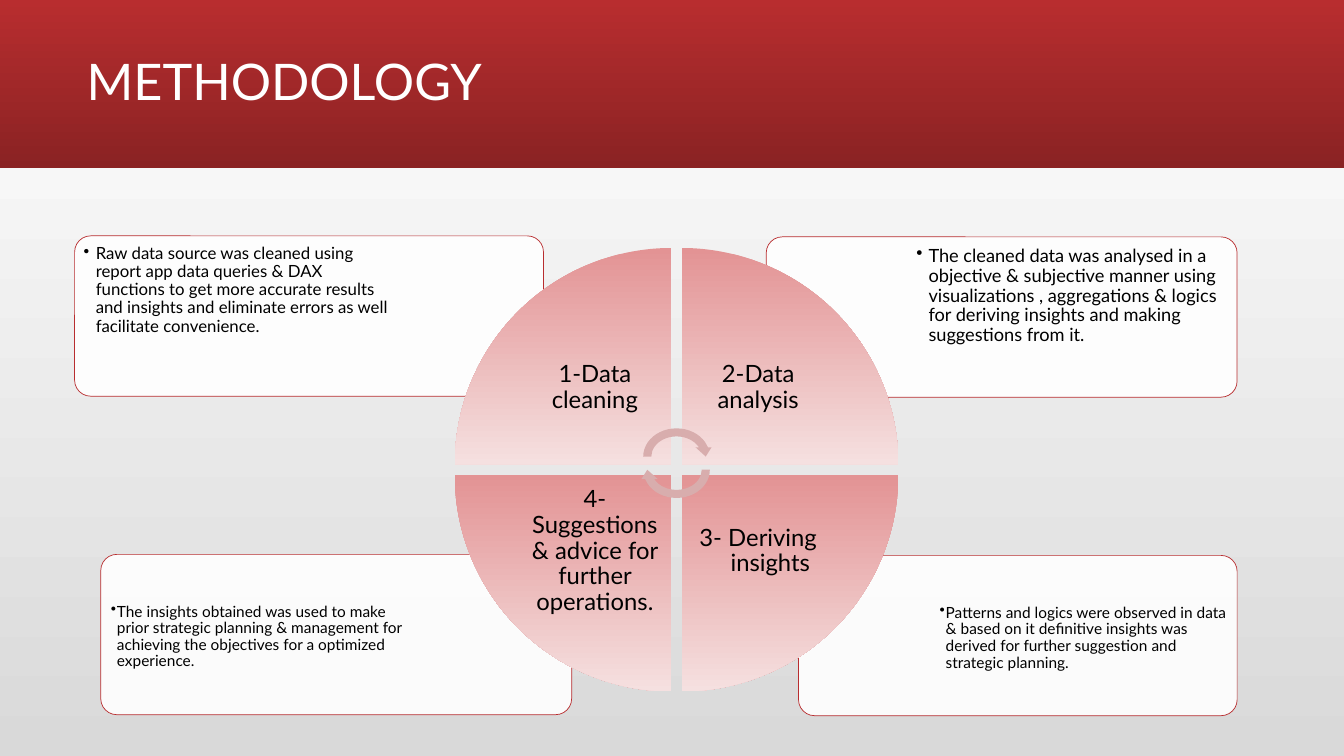
import pptx
import pptx.dml.color
import pptx.enum.shapes
import pptx.enum.text
import pptx.oxml.ns
import pptx.util

Inches = pptx.util.Inches
Pt = pptx.util.Pt
qn = pptx.oxml.ns.qn
SHAPES = pptx.enum.shapes.MSO_SHAPE
ALIGN = pptx.enum.text.PP_ALIGN
ANCHOR = pptx.enum.text.MSO_ANCHOR
FONT = "Lato"
RED, WHITE, BLACK = "B82D2F", "FFFFFF", "000000"


def paint(target, *colours, angle=270):
    """Fill with one colour, or with a gradient of two."""
    if len(colours) == 1:
        target.solid()
        target.fore_color.rgb = pptx.dml.color.RGBColor.from_string(colours[0])
        return
    target.gradient()
    target.gradient_angle = angle
    for stop, colour in zip(target.gradient_stops, colours):
        stop.color.rgb = pptx.dml.color.RGBColor.from_string(colour)


def write(shape, text, size, colour, alignment, anchor, inset):
    """Put one formatted paragraph into a shape and return the paragraph."""
    frame = shape.text_frame
    frame.text = text
    frame.word_wrap = True
    frame.auto_size = pptx.enum.text.MSO_AUTO_SIZE.NONE
    frame.vertical_anchor = anchor
    frame.margin_left = frame.margin_right = Inches(inset)
    frame.margin_top = frame.margin_bottom = Inches(inset)
    paragraph = frame.paragraphs[0]
    paragraph.alignment = alignment
    paragraph.line_spacing = 0.9
    font = paragraph.runs[0].font
    font.name, font.size = FONT, Pt(size)
    paint(font.fill, colour)
    return paragraph


presentation = pptx.Presentation()
presentation.slide_width = Inches(13.33)
presentation.slide_height = Inches(7.5)
slide = presentation.slides.add_slide(presentation.slide_layouts[5])
shapes = slide.shapes
paint(slide.background.fill, "D9D9D9", WHITE, angle=90)

# Banner, placed behind the title
banner = shapes.add_shape(SHAPES.RECTANGLE, 0, 0, presentation.slide_width, Inches(1.67))
banner.shadow.inherit = False
banner.line.fill.background()
paint(banner.fill, RED, "8A2223")
title = shapes.title
title._element.addprevious(banner._element)
title.left, title.top = Inches(0.76), Inches(0.11)
title.width, title.height = Inches(11), Inches(1.45)
write(title, "METHODOLOGY", 36, WHITE, ALIGN.LEFT, ANCHOR.MIDDLE, 0.1)

# Cards: left, top, width, text left, text offset, text width, size, hanging indent, text
CARD_HEIGHT = 1.59
cards = [
    (7.92, 5.51, 4.35, 9.26, 0.43, 2.98, 11, 0.06,
     "Patterns and logics were observed in data & based on it definitive insights "
     "was derived for further suggestion and strategic planning."),
    (1, 5.5, 4.67, 1.04, 0.43, 3.2, 11, 0.06,
     "The insights obtained was used to make prior strategic planning & management "
     "for achieving the objectives for a optimized experience."),
    (7.6, 2.35, 4.67, 9.03, 0.04, 3.2, 13, 0.12,
     "The cleaned data was analysed in a objective & subjective manner using "
     "visualizations , aggregations & logics for deriving insights and making "
     "suggestions from it."),
    (0.74, 2.34, 4.65, 0.77, 0.03, 3.19, 12, 0.12,
     "Raw data source was cleaned using report app data queries & DAX functions to get "
     "more accurate results and insights and eliminate errors as well facilitate "
     "convenience."),
]
for left, top, width, text_left, offset, text_width, size, indent, text in cards:
    card = shapes.add_shape(SHAPES.ROUNDED_RECTANGLE, Inches(left), Inches(top),
                            Inches(width), Inches(CARD_HEIGHT))
    card.adjustments[0] = 0.1
    card.shadow.inherit = False
    paint(card.fill, WHITE)
    fill_colour = card._element.spPr.find(qn("a:solidFill"))[0]
    fill_colour.append(fill_colour.makeelement(qn("a:alpha"), {"val": "90000"}))
    paint(card.line.fill, RED)
    card.line.width = Pt(0.5)

    note = shapes.add_textbox(Inches(text_left), Inches(top + offset),
                              Inches(text_width), Inches(1.12))
    paragraph = write(note, text, size, BLACK, ALIGN.LEFT, ANCHOR.TOP, 0.06)
    properties = paragraph._p.get_or_add_pPr()
    properties.set("marL", str(Inches(indent)))
    properties.set("indent", str(-Inches(indent)))
    properties.append(properties.makeelement(qn("a:buChar"), {"char": "•"}))

# Wheel: four wedges around one centre, clockwise from the upper left
CENTRE_X, CENTRE_Y = 6.71, 4.66
RADIUS, HALF_GAP, LABEL = 2.15, 0.05, 1.52
steps = [
    (-1, -1, "1-Data cleaning", 0),
    (1, -1, "2-Data analysis", 0),
    (1, 1, "3- Deriving insights", 0.24),
    (-1, 1, "4-Suggestions & advice for further operations.", 0),
]
for number, (side_x, side_y, text, indent) in enumerate(steps):
    corners = []
    for extent in (RADIUS, LABEL):
        reach = HALF_GAP + extent / 2
        corners.append((Inches(CENTRE_X + side_x * reach - extent / 2),
                        Inches(CENTRE_Y + side_y * reach - extent / 2),
                        Inches(extent), Inches(extent)))
    wedge = shapes.add_shape(SHAPES.PIE_WEDGE, *corners[0])
    wedge.rotation = 90 * number
    wedge.shadow.inherit = False
    wedge.line.fill.background()
    paint(wedge.fill, "E39394", "F5E0E0")
    wedge._element.spPr.find(qn("a:gradFill")).set("rotWithShape", "0")

    label = shapes.add_textbox(*corners[1])
    paragraph = write(label, text, 17, BLACK, ALIGN.CENTER, ANCHOR.MIDDLE, 0.13)
    properties = paragraph._p.get_or_add_pPr()
    properties.set("marL", str(Inches(indent)))
    properties.set("indent", str(-Inches(indent)))

# Cycle arrows at the hub
for top, rotation in ((4.21, 0), (4.34, 180)):
    arrow = shapes.add_shape(SHAPES.CIRCULAR_ARROW, Inches(CENTRE_X - 0.37), Inches(top),
                             Inches(0.74), Inches(0.64))
    arrow.rotation = rotation
    arrow.shadow.inherit = False
    arrow.line.fill.background()
    paint(arrow.fill, "D8ADAD")

presentation.save("out.pptx")
